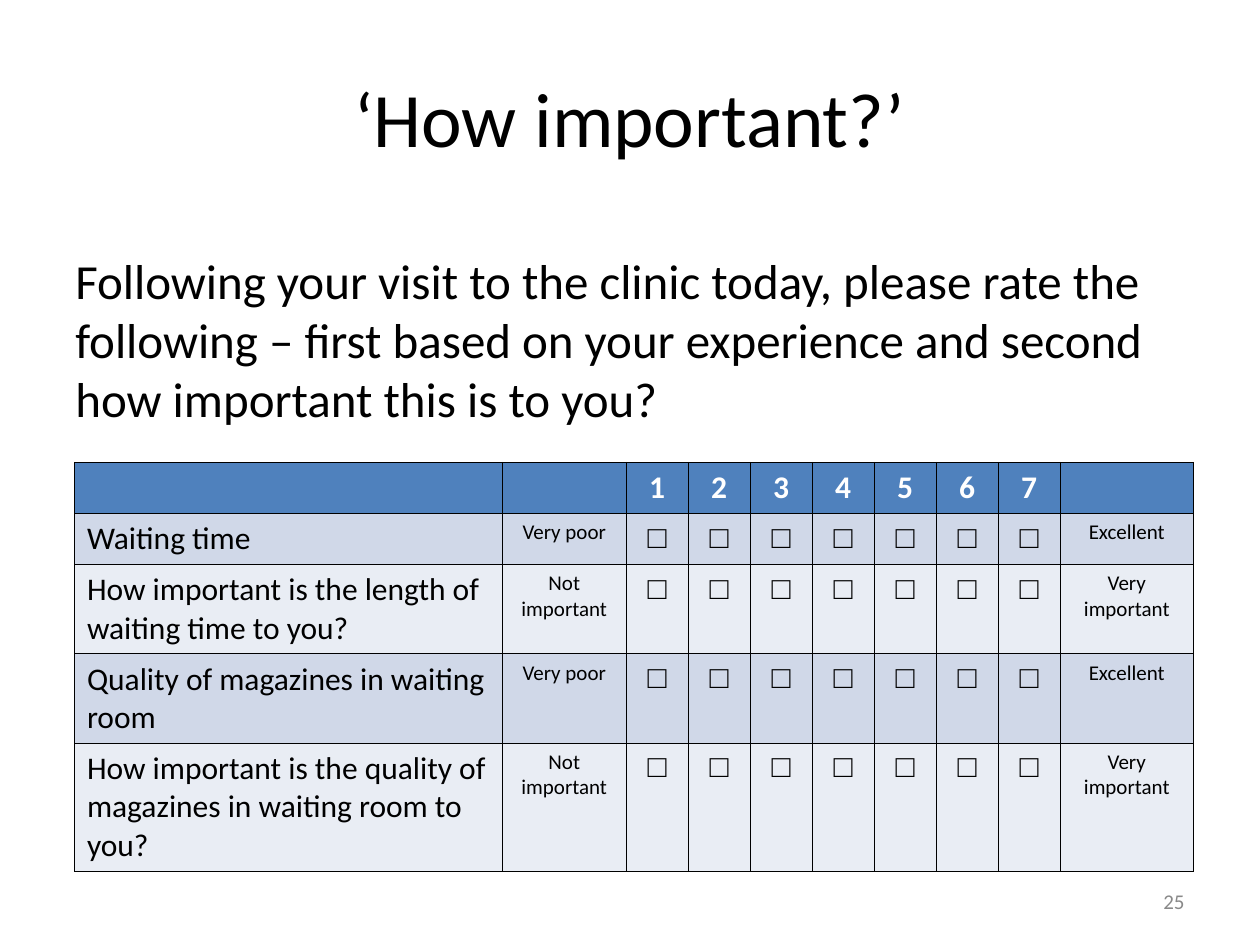
from dataclasses import dataclass

from lxml import etree
from pptx import Presentation
from pptx.dml.color import RGBColor
from pptx.enum.text import MSO_ANCHOR, PP_ALIGN
from pptx.oxml.ns import qn
from pptx.slide import Slide
from pptx.table import _Cell
from pptx.text.text import TextFrame
from pptx.util import Cm, Pt

LEFT, CENTER, RIGHT = PP_ALIGN.LEFT, PP_ALIGN.CENTER, PP_ALIGN.RIGHT
TOP, MIDDLE = MSO_ANCHOR.TOP, MSO_ANCHOR.MIDDLE

BLACK = RGBColor(0x00, 0x00, 0x00)
WHITE = RGBColor(0xFF, 0xFF, 0xFF)
GRAY = RGBColor(0x89, 0x89, 0x89)
HEADER_BLUE = RGBColor(0x4F, 0x81, 0xBD)
BAND_DARK = RGBColor(0xD0, 0xD8, 0xE8)
BAND_LIGHT = RGBColor(0xE9, 0xED, 0xF4)

TITLE_ONLY_LAYOUT = 5
BORDER_WIDTH = Pt(0.45)
SCORES = range(1, 8)
COLUMN_WIDTHS = [8.63, 2.49] + [1.25] * len(SCORES) + [2.69]
HEADER_HEIGHT = 1.03


@dataclass(frozen=True)
class TextStyle:
    size: float
    color: RGBColor = BLACK
    align: PP_ALIGN = LEFT
    font: str = "Calibri"
    bold: bool = False


@dataclass(frozen=True)
class Question:
    text: str
    low: str
    high: str
    height: float


@dataclass(frozen=True)
class Box:
    left: float
    top: float
    width: float
    height: float

    def lengths(self) -> list[Cm]:
        return [Cm(value) for value in (self.left, self.top, self.width, self.height)]


TITLE = TextStyle(44, align=CENTER)
INTRO = TextStyle(28)
PAGE_NUMBER = TextStyle(12, GRAY, RIGHT)
SCORE = TextStyle(18, WHITE, CENTER, bold=True)
QUESTION = TextStyle(18)
SCALE_END = TextStyle(12, align=CENTER)
CHECKBOX = TextStyle(18, align=CENTER, font="Arial")

QUALITY = ("Very poor", "Excellent")
IMPORTANCE = ("Not important", "Very important")
QUESTIONS = [
    Question("Waiting time", *QUALITY, 1.03),
    Question("How important is the length of waiting time to you?", *IMPORTANCE, 1.8),
    Question("Quality of magazines in waiting room", *QUALITY, 1.8),
    Question("How important is the quality of magazines in waiting room to you?",
             *IMPORTANCE, 2.58),
]


def write_text(frame: TextFrame, text: str, style: TextStyle) -> None:
    paragraph = frame.paragraphs[0]
    paragraph.alignment = style.align
    run = paragraph.add_run()
    run.text = text
    font_format = {"name": style.font, "size": Pt(style.size), "bold": style.bold}
    for name, value in font_format.items():
        setattr(run.font, name, value)
    run.font.color.rgb = style.color


def add_text_box(slide: Slide, box: Box, text: str, style: TextStyle,
                 anchor: MSO_ANCHOR) -> TextFrame:
    frame = slide.shapes.add_textbox(*box.lengths()).text_frame
    frame.word_wrap = True
    frame.vertical_anchor = anchor
    write_text(frame, text, style)
    return frame


def add_borders(cell: _Cell) -> None:
    properties = cell._tc.get_or_add_tcPr()
    # Border lines come before the fill in the cell properties
    for position, side in enumerate(("a:lnL", "a:lnR", "a:lnT", "a:lnB")):
        line = etree.Element(qn(side), w=str(BORDER_WIDTH))
        fill = etree.SubElement(line, qn("a:solidFill"))
        etree.SubElement(fill, qn("a:srgbClr"), val=str(BLACK))
        properties.insert(position, line)


def format_cell(cell: _Cell, text: str, style: TextStyle, fill: RGBColor) -> None:
    cell.fill.solid()
    cell.fill.fore_color.rgb = fill
    add_borders(cell)
    if text:
        write_text(cell.text_frame, text, style)


def add_rating_table(slide: Slide, left: float, top: float) -> None:
    heights = [HEADER_HEIGHT] + [question.height for question in QUESTIONS]
    box = Box(left, top, sum(COLUMN_WIDTHS), sum(heights))
    table = slide.shapes.add_table(len(heights), len(COLUMN_WIDTHS), *box.lengths()).table
    for column, width in zip(table.columns, COLUMN_WIDTHS):
        column.width = Cm(width)
    for row, height in zip(table.rows, heights):
        row.height = Cm(height)

    # Header, then one row of text per question
    texts = [["", "", *map(str, SCORES), ""]]
    texts += [[question.text, question.low, *("□" for _ in SCORES), question.high]
              for question in QUESTIONS]
    question_styles = [QUESTION, SCALE_END, *[CHECKBOX] * len(SCORES), SCALE_END]
    header_styles = [SCORE] * len(COLUMN_WIDTHS)

    for index, (row, row_texts) in enumerate(zip(table.rows, texts)):
        if index == 0:
            styles, fill = header_styles, HEADER_BLUE
        else:
            styles, fill = question_styles, BAND_DARK if index % 2 else BAND_LIGHT
        for cell, text, style in zip(row.cells, row_texts, styles):
            format_cell(cell, text, style, fill)


def main() -> None:
    presentation = Presentation()
    presentation.slide_width, presentation.slide_height = Cm(25.4), Cm(19.05)
    slide = presentation.slides.add_slide(presentation.slide_layouts[TITLE_ONLY_LAYOUT])

    # Title
    title = slide.shapes.title
    title_box = Box(1.27, 0.76, 22.86, 3.18)
    for name, value in zip(("left", "top", "width", "height"), title_box.lengths()):
        setattr(title, name, value)
    title.text_frame.vertical_anchor = MIDDLE
    write_text(title.text_frame, "‘How important?’", TITLE)

    # Introduction
    intro = add_text_box(
        slide, Box(1.27, 4.93, 23.44, 13),
        "Following your visit to the clinic today, please rate the following – first "
        "based on your experience and second how important this is to you?",
        INTRO, TOP)
    intro.paragraphs[0].space_before = Pt(7)

    # Rating table and page number
    add_rating_table(slide, 1.5, 9.32)
    add_text_box(slide, Box(18.21, 17.65, 5.92, 1.02), "25", PAGE_NUMBER, MIDDLE)

    presentation.save("out.pptx")


if __name__ == "__main__":
    main()
